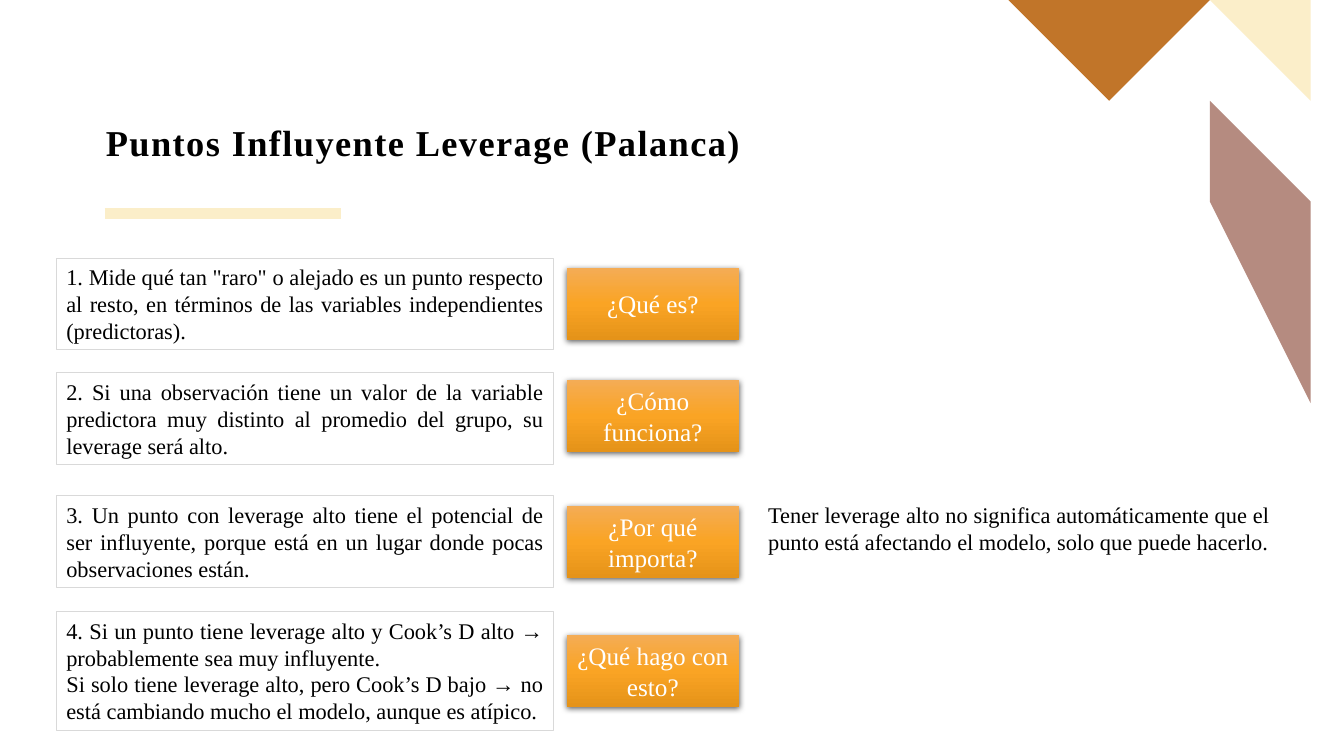
"""Build the slide on influential points and leverage."""
from lxml import etree
from pptx import Presentation
from pptx.dml.color import RGBColor
from pptx.enum.shapes import MSO_CONNECTOR, MSO_SHAPE
from pptx.enum.text import MSO_ANCHOR, MSO_AUTO_SIZE, PP_ALIGN
from pptx.oxml.ns import qn
from pptx.util import Inches, Pt

STRAIGHT = MSO_CONNECTOR.STRAIGHT
RECTANGLE = MSO_SHAPE.RECTANGLE
TOP, MIDDLE, BOTTOM = MSO_ANCHOR.TOP, MSO_ANCHOR.MIDDLE, MSO_ANCHOR.BOTTOM
GROW = MSO_AUTO_SIZE.SHAPE_TO_FIT_TEXT
JUSTIFY, CENTER = PP_ALIGN.JUSTIFY, PP_ALIGN.CENTER

FONT = "Times New Roman"
BLACK = RGBColor(0x00, 0x00, 0x00)
WHITE = RGBColor(0xFF, 0xFF, 0xFF)
GRAY = RGBColor(0xD9, 0xD9, 0xD9)
CREAM = RGBColor(0xFB, 0xEE, 0xC9)
MAUVE = RGBColor(0xB5, 0x8B, 0x80)
BROWN = RGBColor(0xC1, 0x75, 0x29)
ORANGE_STOPS = [(0, RGBColor(0xF4, 0xAC, 0x55)), (50, RGBColor(0xFA, 0xA4, 0x24)),
                (100, RGBColor(0xE5, 0x93, 0x19))]

TITLE = "Puntos Influyente Leverage (Palanca)"
NOTE = ("Tener leverage alto no significa automáticamente que el punto está "
        "afectando el modelo, solo que puede hacerlo.")
ROWS = [
    {"question": "¿Qué es?", "top": 2.56, "height": 0.91, "button_top": 2.66,
     "answer": "1. Mide qué tan \"raro\" o alejado es un punto respecto al resto, "
               "en términos de las variables independientes (predictoras)."},
    {"question": "¿Cómo funciona?", "top": 3.7, "height": 0.91, "button_top": 3.77,
     "answer": "2. Si una observación tiene un valor de la variable predictora muy "
               "distinto al promedio del grupo, su leverage será alto."},
    {"question": "¿Por qué importa?", "top": 4.92, "height": 0.91, "button_top": 5.02,
     "answer": "3. Un punto con leverage alto tiene el potencial de ser influyente, "
               "porque está en un lugar donde pocas observaciones están."},
    {"question": "¿Qué hago con esto?", "top": 6.07, "height": 1.18, "button_top": 6.3,
     "answer": "4. Si un punto tiene leverage alto y Cook’s D alto → probablemente sea "
               "muy influyente.\nSi solo tiene leverage alto, pero Cook’s D bajo → no "
               "está cambiando mucho el modelo, aunque es atípico."},
]
CORNER_SHAPES = [
    (MAUVE, [(13.33, 3.63), (13.33, 2.41), (12.12, 1.19), (11.5, 1.8)]),
    (CREAM, [(13.33, 1.19), (13.33, 0), (12.15, 0)]),
    (BROWN, [(9.7, 0), (10.89, 1.19), (12.09, 0)]),
]
ANSWER_LEFT, ANSWER_WIDTH = 0.56, 4.93
BUTTON_LEFT, BUTTON_WIDTH, BUTTON_HEIGHT = 5.62, 1.71, 0.71


def write_text(shape, text, size, color, alignment, anchor):
    """Fill a shape with wrapped, formatted text."""
    frame = shape.text_frame
    frame.word_wrap = True
    frame.vertical_anchor = anchor
    frame.text = text
    for paragraph in frame.paragraphs:
        paragraph.alignment = alignment
        for run in paragraph.runs:
            run.font.name = FONT
            run.font.size = Pt(size)
            run.font.color.rgb = color
    return frame


def add_rectangle(slide, left, top, width, height):
    """Add a rectangle without shadow."""
    shape = slide.shapes.add_shape(
        RECTANGLE, Inches(left), Inches(top), Inches(width), Inches(height))
    shape.shadow.inherit = False
    return shape


def add_answer(slide, row):
    """Add an outlined answer box."""
    box = add_rectangle(slide, ANSWER_LEFT, row["top"], ANSWER_WIDTH, row["height"])
    box.fill.background()
    box.line.color.rgb = GRAY
    box.line.width = Pt(0.75)
    write_text(box, row["answer"], 16, BLACK, JUSTIFY, TOP).auto_size = GROW


def add_button(slide, row):
    """Add a question button with an orange gradient and a soft shadow."""
    button = add_rectangle(slide, BUTTON_LEFT, row["button_top"], BUTTON_WIDTH, BUTTON_HEIGHT)
    button.line.fill.background()
    button.fill.gradient()
    button.fill.gradient_angle = 270
    properties = button.element.spPr
    stops = properties.find(qn("a:gradFill")).find(qn("a:gsLst"))
    for stop in list(stops):
        stops.remove(stop)
    for position, color in ORANGE_STOPS:
        stop = etree.SubElement(stops, qn("a:gs"), pos=str(position * 1000))
        etree.SubElement(stop, qn("a:srgbClr"), val=str(color))
    shadow = etree.SubElement(
        properties.find(qn("a:effectLst")), qn("a:outerShdw"), blurRad=str(Pt(4.5)),
        dist=str(Pt(1.5)), dir="5400000", algn="ctr", rotWithShape="0")
    shadow_color = etree.SubElement(shadow, qn("a:srgbClr"), val=str(BLACK))
    etree.SubElement(shadow_color, qn("a:alpha"), val="63000")
    write_text(button, row["question"], 18, WHITE, CENTER, MIDDLE)


def add_decoration(slide):
    """Add the title underline and the corner shapes."""
    underline = slide.shapes.add_connector(
        STRAIGHT, Inches(1.04), Inches(2.12), Inches(3.38), Inches(2.12))
    underline.line.color.rgb = CREAM
    underline.line.width = Pt(8)
    etree.SubElement(underline.element.spPr, qn("a:effectLst"))
    for color, points in CORNER_SHAPES:
        builder = slide.shapes.build_freeform(*points[0], scale=Inches(1))
        builder.add_line_segments(points[1:], close=True)
        corner = builder.convert_to_shape()
        corner.shadow.inherit = False
        corner.fill.solid()
        corner.fill.fore_color.rgb = color
        corner.line.fill.background()


def add_title(slide):
    """Add the spaced bold title."""
    title = slide.shapes.add_textbox(Inches(1.05), Inches(0.96), Inches(9.05), Inches(0.67))
    frame = write_text(title, TITLE, 26, BLACK, JUSTIFY, BOTTOM)
    frame.margin_left = frame.margin_right = frame.margin_top = frame.margin_bottom = 0
    paragraph = frame.paragraphs[0]
    paragraph.line_spacing = 0.9
    font = paragraph.runs[0].font
    font.bold = True
    paragraph.runs[0]._r.get_or_add_rPr().set("spc", "100")


def main():
    """Assemble and save the presentation."""
    presentation = Presentation()
    presentation.slide_width, presentation.slide_height = Inches(13.33), Inches(7.5)
    slide = presentation.slides.add_slide(presentation.slide_layouts[6])
    add_decoration(slide)
    add_title(slide)
    for row in ROWS:
        add_answer(slide, row)
        add_button(slide, row)
    note = slide.shapes.add_textbox(Inches(7.52), Inches(4.92), Inches(5.17), Inches(0.91))
    write_text(note, NOTE, 16, BLACK, JUSTIFY, TOP).auto_size = GROW
    presentation.save("out.pptx")


if __name__ == "__main__":
    main()
